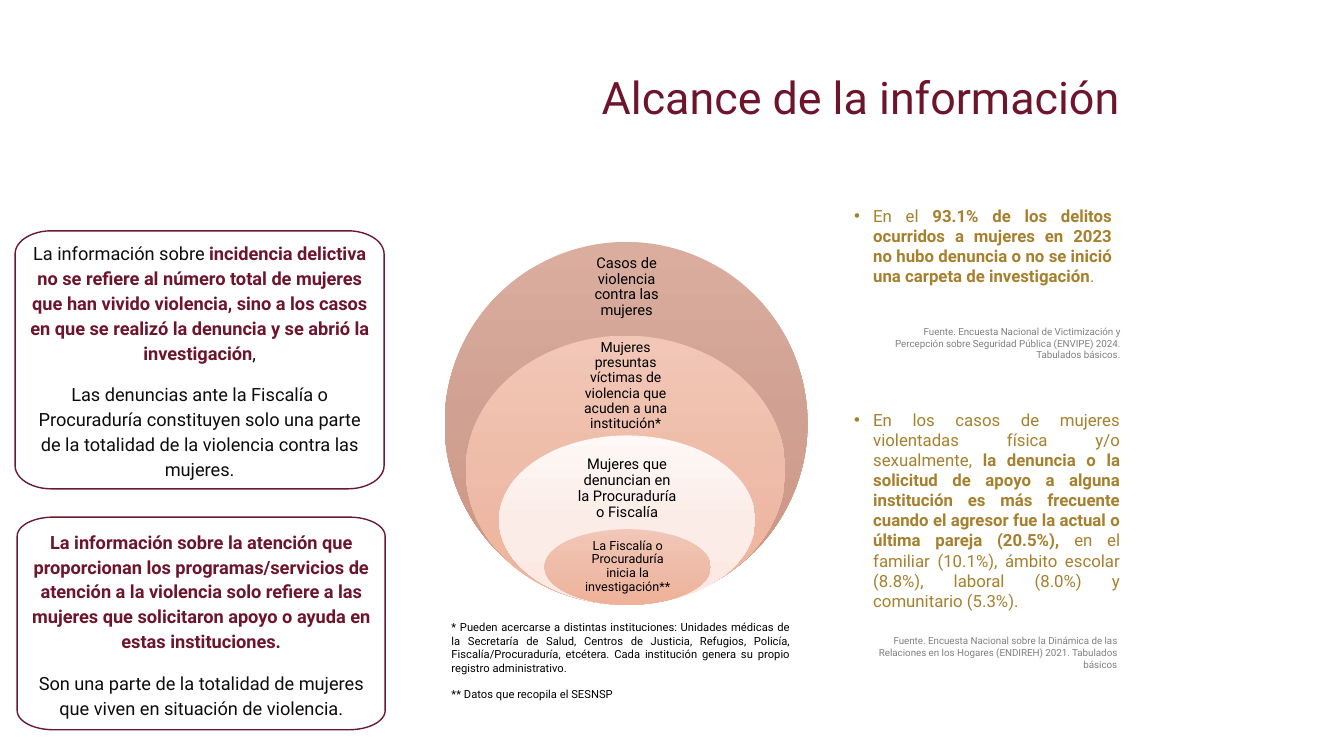
from copy import deepcopy
from dataclasses import dataclass
from math import cos, pi, sin

from lxml.etree import SubElement
from pptx import Presentation
from pptx.dml.color import RGBColor as Rgb
from pptx.enum.shapes import MSO_SHAPE as Preset
from pptx.enum.text import MSO_ANCHOR as Anchor, MSO_AUTO_SIZE as AutoSize, PP_ALIGN as Align
from pptx.oxml.ns import qn
from pptx.util import Inches, Pt


@dataclass(frozen=True)
class Theme:
    font: str = "Roboto"
    wine: str = "6E152E"
    border: str = "691B31"
    gold: str = "A7802D"
    ink: str = "0D0D0D"
    black: str = "000000"
    grey: str = "808080"
    white: str = "FFFFFF"
    rose: tuple = ("DAAD9F", "D0A192", "CD927E")
    peach: tuple = ("F2C7B7", "EEBCA9", "EFB199")
    cream: tuple = ("FEF8F6", "FCECE7", "FCE9E4")
    title_size: float = 32
    card_size: float = 13
    list_size: float = 12
    note_size: float = 8
    source_size: float = 7


class SlideBuilder:
    """Draws the elements of one slide in a shared theme."""

    def __init__(self, slide, theme):
        self.slide = slide
        self.theme = theme

    def frame(self, shape, inset=None, anchor=Anchor.TOP):
        frame = shape.text_frame
        frame.word_wrap = True
        frame.auto_size = AutoSize.NONE
        frame.vertical_anchor = anchor
        if inset is not None:
            frame.margin_left = frame.margin_right = Inches(inset)
            frame.margin_top = frame.margin_bottom = Inches(inset)
        return frame

    def fill_para(self, para, spans, size, color, align, spacing=1.0, before=0):
        para.alignment = align
        para.line_spacing = spacing
        para.space_before = Pt(before)
        para.space_after = Pt(0)
        para.font.name = self.theme.font
        para.font.size = Pt(size)
        para.font.color.rgb = Rgb.from_string(color)
        for text, bold, span_color in spans:
            span = para.add_run()
            span.text = text
            if bold:
                span.font.bold = True
            if span_color != color:
                span.font.color.rgb = Rgb.from_string(span_color)

    def place(self, shape, left, top, width, height):
        shape.left, shape.top = Inches(left), Inches(top)
        shape.width, shape.height = Inches(width), Inches(height)

    def title(self, text, *area):
        title = self.slide.shapes.title
        self.place(title, *area)
        color = self.theme.wine
        para = self.frame(title).paragraphs[0]
        self.fill_para(para, [(text, False, color)], self.theme.title_size, color, Align.RIGHT, 0.9)

    def bullet(self, index, spans, *area):
        body = self.slide.placeholders[index]
        self.place(body, *area)
        para = self.frame(body).paragraphs[0]
        properties = para._p.get_or_add_pPr()
        properties.set("marL", str(Inches(0.19)))
        properties.set("indent", str(-Inches(0.19)))
        SubElement(properties, qn("a:buChar")).set("char", "•")
        color = self.theme.gold
        colored = [(text, bold, color) for text, bold in spans]
        self.fill_para(para, colored, self.theme.list_size, color, Align.JUSTIFY)

    def text(self, area, text, size, color, align, inset=None, anchor=Anchor.TOP, spacing=1.0):
        box = self.slide.shapes.add_textbox(*map(Inches, area))
        frame = self.frame(box, inset, anchor)
        self.fill_para(frame.paragraphs[0], [(text, False, color)], size, color, align, spacing)
        return frame

    def source(self, text, *area):
        self.text(area, text, self.theme.source_size, self.theme.grey, Align.RIGHT)

    def notes(self, area, first, second):
        size, color = self.theme.note_size, self.theme.black
        frame = self.text(area, first, size, color, Align.JUSTIFY)
        self.fill_para(frame.add_paragraph(), [(second, False, color)], size, color, Align.LEFT, before=9.5)

    def card(self, left, top, width, height, radius_y, paragraphs, radius_x=0.36, steps=12):
        centers = [
            (left + width - radius_x, top + height - radius_y),
            (left + radius_x, top + height - radius_y),
            (left + radius_x, top + radius_y),
            (left + width - radius_x, top + radius_y),
        ]
        points = []
        for corner, (x, y) in enumerate(centers):
            for step in range(steps + 1):
                angle = (corner + step / steps) * pi / 2
                points.append((Inches(x + radius_x * cos(angle)), Inches(y + radius_y * sin(angle))))
        outline = self.slide.shapes.build_freeform(*points[0])
        outline.add_line_segments(points[1:], close=True)
        card = outline.convert_to_shape()
        card.shadow.inherit = False
        card.fill.solid()
        card.fill.fore_color.rgb = Rgb.from_string(self.theme.white)
        card.line.color.rgb = Rgb.from_string(self.theme.border)
        card.line.width = Pt(1)
        frame = self.frame(card, 0.14, Anchor.MIDDLE)
        for number, spans in enumerate(paragraphs):
            para = frame.add_paragraph() if number else frame.paragraphs[0]
            before = 12 if number else 0
            self.fill_para(para, spans, self.theme.card_size, spans[0][2], Align.CENTER, 1.14, before)

    def ellipse(self, area, colors):
        oval = self.slide.shapes.add_shape(Preset.OVAL, *map(Inches, area))
        oval.shadow.inherit = False
        oval.line.fill.background()
        oval.fill.gradient()
        oval.fill.gradient_angle = 270
        stop_list = next(oval.element.iter(qn("a:gsLst")))
        stop_list.insert(1, deepcopy(stop_list[0]))
        for number, (stop, color) in enumerate(zip(oval.fill.gradient_stops, colors)):
            stop.position = number / 2
            stop.color.rgb = Rgb.from_string(color)

    def layer(self, area, colors, label, size, left, width, middle, inset):
        self.ellipse(area, colors)
        height = 1.0
        label_area = (left, middle - height / 2, width, height)
        self.text(label_area, label, size, self.theme.black, Align.CENTER, inset, Anchor.MIDDLE, 0.9)


def main():
    theme = Theme()
    deck = Presentation()
    deck.slide_width, deck.slide_height = Inches(13.33), Inches(7.5)
    page = SlideBuilder(deck.slides.add_slide(deck.slide_layouts[3]), theme)
    wine, ink = theme.wine, theme.ink

    page.title("Alcance de la información", 0.36, 0.7, 10.85, 0.66)
    page.card(0.15, 2.29, 3.66, 2.56, 0.23, [
        [("La información sobre ", False, ink),
         ("incidencia delictiva no se refiere al número total de mujeres que han vivido violencia, "
          "sino a los casos en que se realizó la denuncia y se abrió la investigación", True, wine),
         (",", False, ink)],
        [("Las denuncias ante la Fiscalía o Procuraduría constituyen solo una parte de la totalidad "
          "de la violencia contra las mujeres.", False, ink)],
    ])
    page.card(0.17, 5.13, 3.65, 2.11, 0.19, [
        [("La información sobre la atención que proporcionan los programas/servicios de atención a la "
          "violencia solo refiere a las mujeres que solicitaron apoyo o ayuda en estas instituciones.", True, wine)],
        [("Son una parte de la totalidad de mujeres que viven en situación de violencia.", False, ink)],
    ])
    page.bullet(1, [
        ("En el ", False),
        ("93.1% de los delitos ocurridos a mujeres en 2023 no hubo denuncia o no se inició "
         "una carpeta de investigación", True),
        (".", False),
    ], 8.37, 1.99, 2.76, 1.11)
    page.source("Fuente. Encuesta Nacional de Victimización y Percepción sobre Seguridad Pública "
                "(ENVIPE) 2024. Tabulados básicos.", 8.66, 3.18, 2.55, 0.45)
    page.bullet(2, [
        ("En los casos de mujeres violentadas física y/o sexualmente, ", False),
        ("la denuncia o la solicitud de apoyo a alguna institución es más frecuente cuando el agresor "
         "fue la actual o última pareja (20.5%), ", True),
        ("en el familiar (10.1%), ámbito escolar (8.8%), laboral (8.0%) y comunitario (5.3%).", False),
    ], 8.37, 4.01, 2.84, 2.12)
    page.source("Fuente. Encuesta Nacional sobre la Dinámica de las Relaciones en los Hogares "
                "(ENDIREH) 2021. Tabulados básicos", 8.55, 6.25, 2.63, 0.45)

    layers = [
        ((4.41, 2.4, 3.6, 3.6), theme.rose, "Casos de violencia contra las mujeres",
         10.5, 5.71, 1.01, 2.85, 0.09),
        ((4.62, 3.33, 3.17, 2.67), theme.peach,
         "Mujeres presuntas víctimas de violencia que acuden a una institución*", 10, 5.65, 1.11, 3.83, 0.08),
        ((4.95, 4.32, 2.54, 1.68), theme.cream, "Mujeres que denuncian en la Procuraduría o Fiscalía",
         10.5, 5.63, 1.18, 4.85, 0.09),
        ((5.4, 5.25, 1.65, 0.75), theme.peach, "La Fiscalía o Procuraduría inicia la investigación**",
         9, 5.64, 1.17, 5.62, 0.07),
    ]
    for layer in layers:
        page.layer(*layer)
    page.notes((4.38, 6.11, 3.56, 1.04),
               "* Pueden acercarse a distintas instituciones: Unidades médicas de la Secretaría de Salud, "
               "Centros de Justicia, Refugios, Policía, Fiscalía/Procuraduría, etcétera. Cada institución "
               "genera su propio registro administrativo.", "** Datos que recopila el SESNSP")
    deck.save("out.pptx")


if __name__ == "__main__":
    main()
